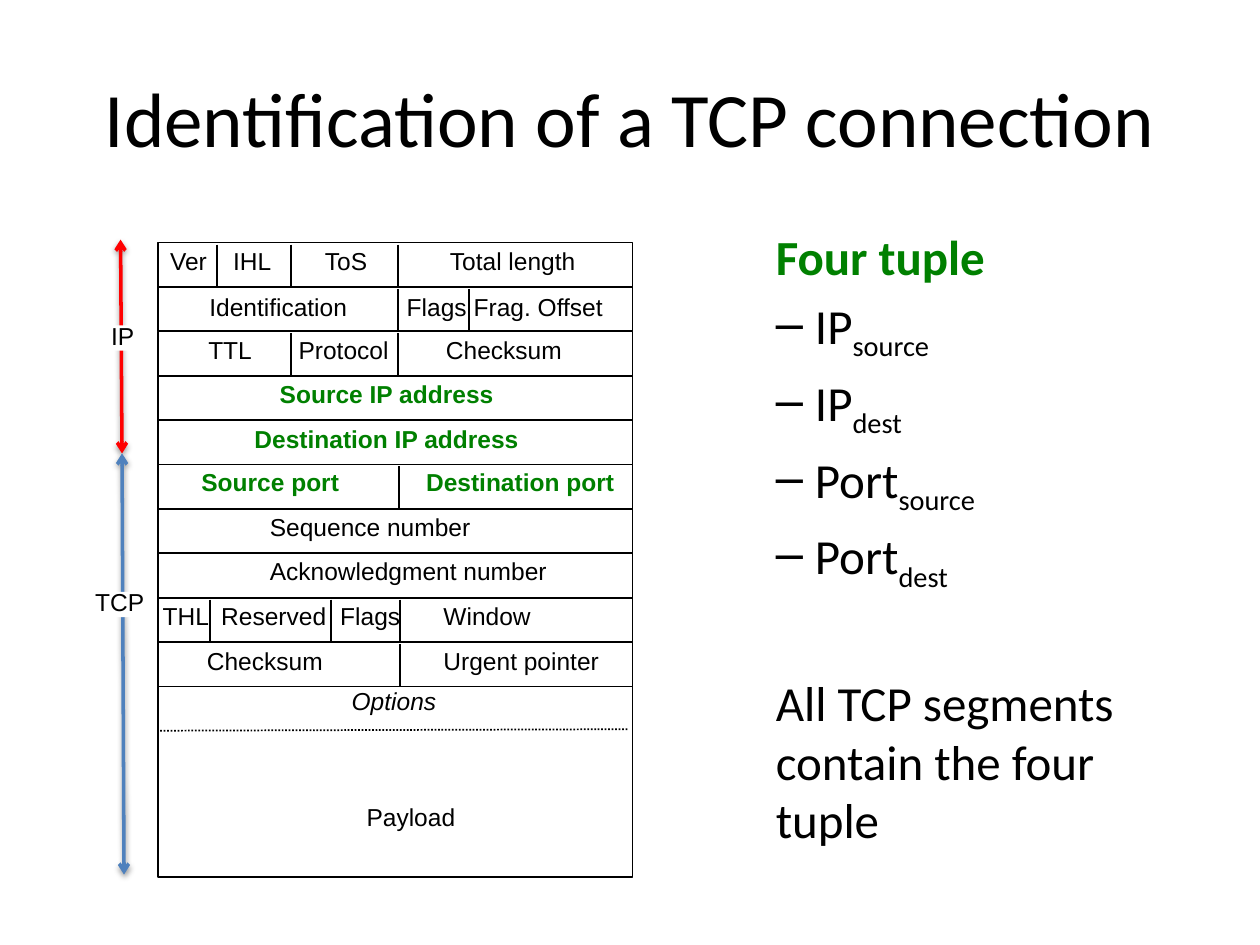
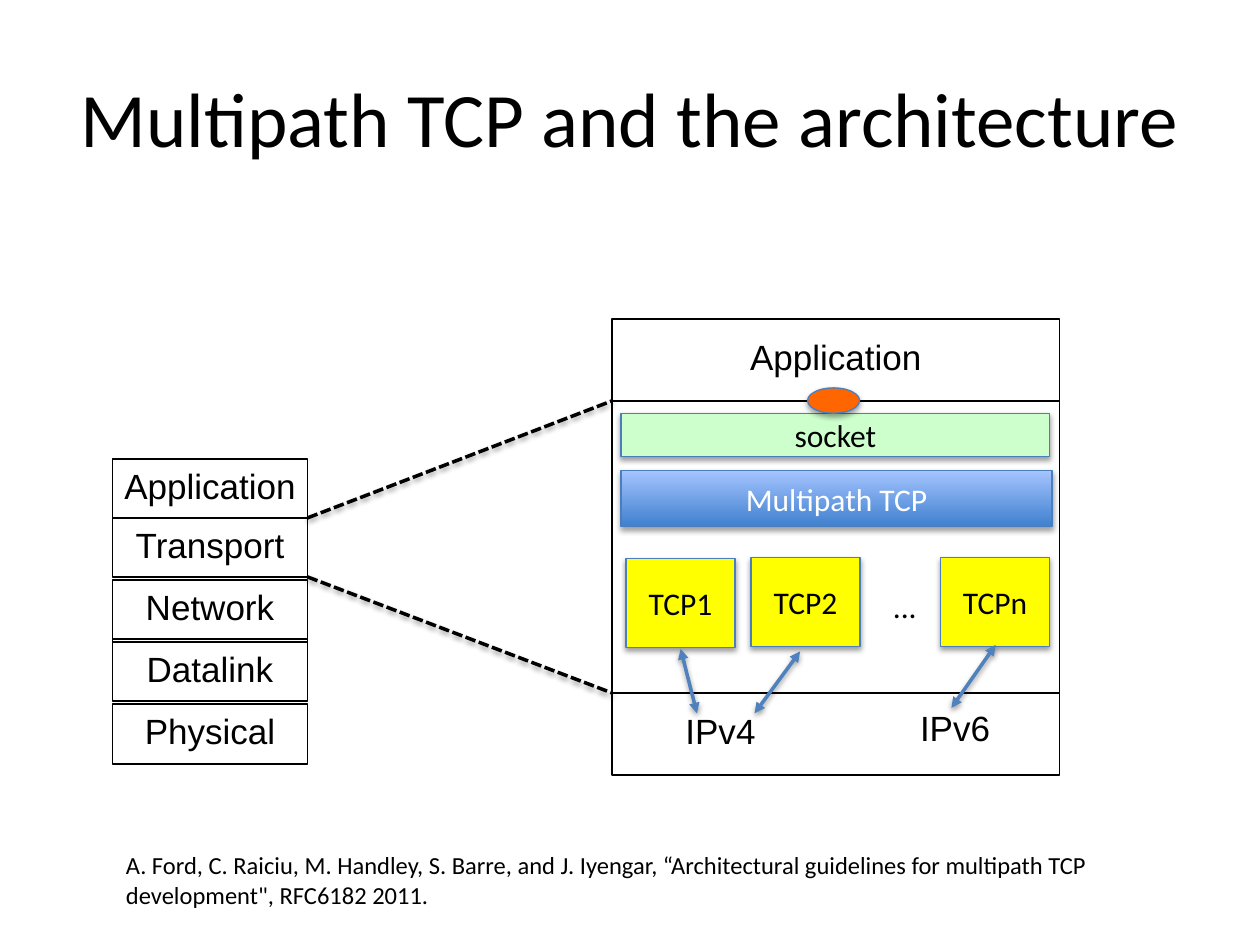
import lxml.etree
import pptx
import pptx.dml.color
import pptx.enum.dml
import pptx.enum.shapes
import pptx.enum.text
import pptx.oxml.ns
import pptx.util

Cm = pptx.util.Cm
Pt = pptx.util.Pt
qn = pptx.oxml.ns.qn
DASH = pptx.enum.dml.MSO_LINE
SHAPE = pptx.enum.shapes.MSO_SHAPE
ANCHOR = pptx.enum.text.MSO_ANCHOR
ALIGN = pptx.enum.text.PP_ALIGN

COLORS = {
    name: pptx.dml.color.RGBColor.from_string(value)
    for name, value in {
        "black": "000000", "white": "FFFFFF", "green": "008000",
        "red": "FF0000", "blue": "4F81BD", "outline": "4B7EBC",
        "yellow": "FFFF00", "mint": "CCFFCC", "orange": "FF6600",
        "gradient dark": "3F80CE", "gradient light": "A4C4FF",
    }.items()
}
TITLE_BOX = (1.27, 0.76, 22.86, 3.18)
TITLE_STYLE = dict(size=44, align=ALIGN.CENTER, anchor=ANCHOR.MIDDLE)
DIAGRAM_TEXT = dict(font="Arial", spacing=0.84, inset=0)
FIELD_STYLE = dict(DIAGRAM_TEXT, size=14, wrap=False)
LAYER_STYLE = dict(DIAGRAM_TEXT, size=20, align=ALIGN.CENTER, anchor=ANCHOR.MIDDLE)
FRAME = dict(kind=SHAPE.RECTANGLE, line="black")
BLOCK = dict(kind=SHAPE.RECTANGLE, line="outline", line_width=0.75, shadow=38,
             align=ALIGN.CENTER, anchor=ANCHOR.MIDDLE)


def add_box(slide, at, text="", kind=None, fill=None, line=None, line_width=1, shadow=0,
            size=18, font="Calibri", color="black", bold=False, italic=False,
            align=ALIGN.LEFT, anchor=ANCHOR.TOP, spacing=None, inset=None, wrap=True):
    """Add a preset shape, or a text box when no kind is given; at is in cm."""
    position = [Cm(length) for length in at]
    if kind is None:
        shape = slide.shapes.add_textbox(*position)
    else:
        shape = slide.shapes.add_shape(kind, *position)
        shape.shadow.inherit = False
        shape.fill.background()
        shape.line.fill.background()
    if fill:
        shape.fill.solid()
        shape.fill.fore_color.rgb = COLORS[fill]
    if line:
        shape.line.color.rgb = COLORS[line]
        shape.line.width = Pt(line_width)
    if shadow:
        add_shadow_color(shape._element.spPr.find(qn("a:effectLst")), shadow)
    frame = shape.text_frame
    frame.word_wrap = wrap
    frame.vertical_anchor = anchor
    if inset is not None:
        frame.margin_left = frame.margin_right = Cm(inset)
        frame.margin_top = frame.margin_bottom = Cm(inset)
    if text:
        paragraph = frame.paragraphs[0]
        paragraph.alignment = align
        paragraph.line_spacing = spacing
        run = paragraph.add_run()
        run.text = text
        run.font.name, run.font.size = font, Pt(size)
        run.font.bold, run.font.italic = bold, italic
        run.font.color.rgb = COLORS[color]
    return shape


def add_line(slide, start, end, color="black", width=1, dash=None, head=None, shadow=0):
    """Join two points given in cm; head is the arrowhead put at both ends."""
    connector = slide.shapes.add_connector(
        pptx.enum.shapes.MSO_CONNECTOR.STRAIGHT, *[Cm(length) for length in start + end])
    connector.line.color.rgb = COLORS[color]
    connector.line.width = Pt(width)
    if dash:
        connector.line.dash_style = dash
    if head:
        for tag in ("a:headEnd", "a:tailEnd"):
            lxml.etree.SubElement(connector.line._get_or_add_ln(), qn(tag), type=head)
    effects = lxml.etree.SubElement(connector._element.spPr, qn("a:effectLst"))
    if shadow:
        add_shadow_color(effects, shadow)


# A soft shadow straight below, with its opacity in percent
add_shadow_color = lambda effects, opacity: lxml.etree.SubElement(
    lxml.etree.SubElement(
        lxml.etree.SubElement(effects, qn("a:outerShdw"), blurRad="40000", dist="20000",
                              dir="5400000", rotWithShape="0"),
        qn("a:srgbClr"), val="000000"),
    qn("a:alpha"), val=str(opacity * 1000))

presentation = pptx.Presentation()
presentation.slide_width = Cm(25.4)
presentation.slide_height = Cm(19.05)
blank = presentation.slide_layouts[6]

# Slide 1: packet headers and the four tuple
slide = presentation.slides.add_slide(blank)
add_box(slide, TITLE_BOX, "Identification of a TCP connection", **TITLE_STYLE)

body = add_box(slide, (14.12, 4.45, 10.01, 12.57)).text_frame
tuple_lines = [
    ("Four tuple", "", 0),
    ("IP", "source", 5.6),
    ("IP", "dest", 5.6),
    ("Port", "source", 5.6),
    ("Port", "dest", 5.6),
    ("All TCP segments contain the four tuple", "", 45.4),
]
for index, (text, subscript, space_before) in enumerate(tuple_lines):
    paragraph = body.paragraphs[0] if index == 0 else body.add_paragraph()
    properties = paragraph._p.get_or_add_pPr()
    properties.set("marL", str(Cm(2.06 if subscript else 1.27)))
    properties.set("indent", str(Cm(-0.79 if subscript else 0)))
    if subscript:
        lxml.etree.SubElement(properties, qn("a:buChar"), char="–")
    paragraph.space_before = Pt(space_before)
    for part in filter(None, (text, subscript)):
        run = paragraph.add_run()
        run.text = part
        run.font.name, run.font.size = "Calibri", Pt(28)
        run.font.bold = index == 0
        run.font.color.rgb = COLORS["green" if index == 0 else "black"]
        if part == subscript:
            run._r.get_or_add_rPr().set("baseline", "-25000")

HEADER_LEFT, HEADER_WIDTH = 3.18, 9.57
HEADER_TOP, PAYLOAD_TOP, PAYLOAD_BOTTOM = 4.89, 13.84, 17.68
# Each row: label drop, (label, left, width) of its fields, divider positions
header_rows = [
    (0.16, [("Ver", 3.43, 0.8), ("IHL", 4.7, 0.8), ("ToS", 6.55, 0.9),
            ("Total length", 9.07, 2.57)], [4.37, 5.87, 8.03]),
    (0.2, [("Identification", 4.22, 2.79), ("Flags", 8.2, 1.25),
           ("Frag. Offset", 9.55, 2.65)], [8.03, 9.46]),
    (0.16, [("TTL", 4.2, 0.9), ("Protocol", 6.02, 1.85), ("Checksum", 8.99, 2.36)],
     [5.86, 8.03]),
    (0.17, [("Source IP address", 5.64, 4.34)], []),
    (0.17, [("Destination IP address", 5.13, 5.38)], []),
    (0.15, [("Source port", 4.06, 2.79), ("Destination port", 8.59, 3.84)], [8.05]),
    (0.16, [("Sequence number", 5.44, 4.06)], []),
    (0.16, [("Acknowledgment number", 5.44, 5.61)], []),
    (0.17, [("THL", 3.28, 0.95), ("Reserved", 4.46, 2.14), ("Flags", 6.86, 1.25),
            ("Window", 8.94, 1.78)], [4.24, 6.67, 8.06]),
    (0.17, [("Checksum", 4.17, 2.36), ("Urgent pointer", 8.94, 3.15)], [8.06]),
]
row_height = (PAYLOAD_TOP - HEADER_TOP) / len(header_rows)
for index, (drop, fields, dividers) in enumerate(header_rows):
    top = HEADER_TOP + index * row_height
    add_box(slide, (HEADER_LEFT, top, HEADER_WIDTH, row_height), fill="white", **FRAME)
    for x in dividers:
        add_line(slide, (x, top + 0.04), (x, top + 0.88))
    for label, left, width in fields:
        in_tuple = label.startswith(("Source", "Destination"))
        add_box(slide, (left, top + drop, width, 0.6), label, bold=in_tuple,
                color="green" if in_tuple else "black", **FIELD_STYLE)

for x in (HEADER_LEFT, HEADER_LEFT + HEADER_WIDTH):
    add_line(slide, (x, 13.36), (x, 14.63), dash=DASH.ROUND_DOT)
add_box(slide, (HEADER_LEFT, PAYLOAD_TOP, HEADER_WIDTH, PAYLOAD_BOTTOM - PAYLOAD_TOP),
        fill="white", **FRAME)
add_box(slide, (7.39, 16.26, 1.83, 0.6), "Payload", **FIELD_STYLE)
add_box(slide, (7.09, 13.92, 1.83, 0.51), "Options", italic=True, **FIELD_STYLE)
add_line(slide, (3.23, 14.73), (12.67, 14.7), dash=DASH.ROUND_DOT)

for start, end, color in [((2.43, 4.83), (2.46, 9.14), "red"),
                          ((2.46, 9.14), (2.5, 17.63), "blue")]:
    add_line(slide, start, end, color, 2, head="arrow", shadow=38)
for label, left, top, width in [("IP", 2.24, 6.56, 0.48), ("TCP", 1.92, 11.93, 0.99)]:
    add_box(slide, (left, top, width, 0.51), label, fill="white", **FIELD_STYLE)

# Slide 2: protocol stack and the transport layer in detail
slide = presentation.slides.add_slide(blank)
add_box(slide, TITLE_BOX, "Multipath TCP and the architecture", **TITLE_STYLE)

STACK_LEFT, STACK_WIDTH = 2.27, 3.93
stack_layers = [("Application", 9.25), ("Transport", 10.44), ("Network", 11.69),
                ("Datalink", 12.94), ("Physical", 14.2)]
for x in (STACK_LEFT, STACK_LEFT + STACK_WIDTH):
    add_line(slide, (x, 13.67), (x, 12.19), dash=DASH.DASH_DOT_DOT)
for label, top in stack_layers:
    add_box(slide, (STACK_LEFT, top, STACK_WIDTH, 1.2), label, **FRAME, **LAYER_STYLE)

DETAIL_LEFT, DETAIL_WIDTH = 12.34, 9.02
for label, top, height in [("", 8.08, 5.89), ("Application", 6.43, 1.65), ("", 13.97, 1.65)]:
    add_box(slide, (DETAIL_LEFT, top, DETAIL_WIDTH, height), label, **FRAME, **LAYER_STYLE)

multipath = add_box(slide, (12.52, 9.49, 8.69, 1.13), "Multipath TCP", color="white", **BLOCK)
multipath.fill.gradient()
multipath.fill.gradient_angle = 90
for stop, color in zip(multipath.fill.gradient_stops, ("gradient dark", "gradient light")):
    stop.color.rgb = COLORS[color]

add_box(slide, (12.52, 8.33, 8.64, 0.87), "socket", fill="mint", **BLOCK)
for label, left, top in [("TCP1", 12.62, 11.26), ("TCP2", 15.14, 11.24), ("TCPn", 18.96, 11.24)]:
    add_box(slide, (left, top, 2.2, 1.8), label, fill="yellow", **BLOCK)
add_box(slide, (17.75, 11.71, 0.99, 1.02), "...", wrap=False)
add_box(slide, (16.28, 7.82, 1.05, 0.51), fill="orange", **{**BLOCK, "kind": SHAPE.OVAL})

for stack_y, detail_y in [(10.44, 8.08), (11.63, 13.97)]:
    add_line(slide, (STACK_LEFT + STACK_WIDTH, stack_y), (DETAIL_LEFT, detail_y),
             width=2, dash=DASH.SQUARE_DOT, shadow=38)
for label, left, top in [("IPv4", 12.34, 14.22), ("IPv6", 17.07, 14.15)]:
    add_box(slide, (left, top, 4.37, 1.17), label, **LAYER_STYLE)
for start, end in [((13.72, 13.08), (14.05, 14.38)), ((16.13, 13.13), (15.21, 14.38)),
                   ((20.07, 13), (19.18, 14.27))]:
    add_line(slide, start, end, "blue", 2, head="triangle", shadow=38)

add_box(slide, (2.29, 17.02, 21.31, 1.45),
        "A. Ford, C. Raiciu, M. Handley, S. Barre, and J. Iyengar, “Architectural guidelines "
        "for multipath TCP development\", RFC6182 2011.", size=14)

presentation.save("out.pptx")
